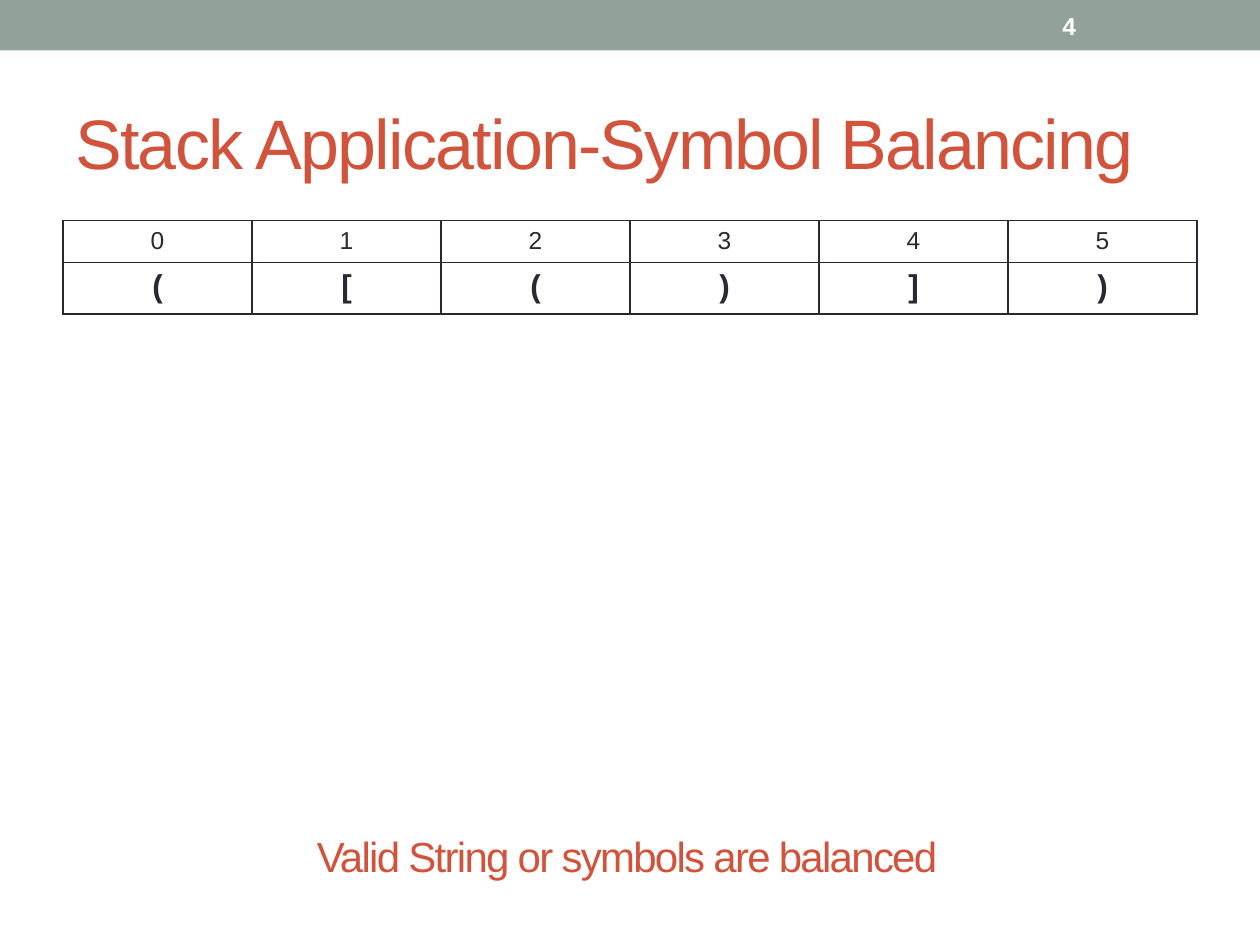
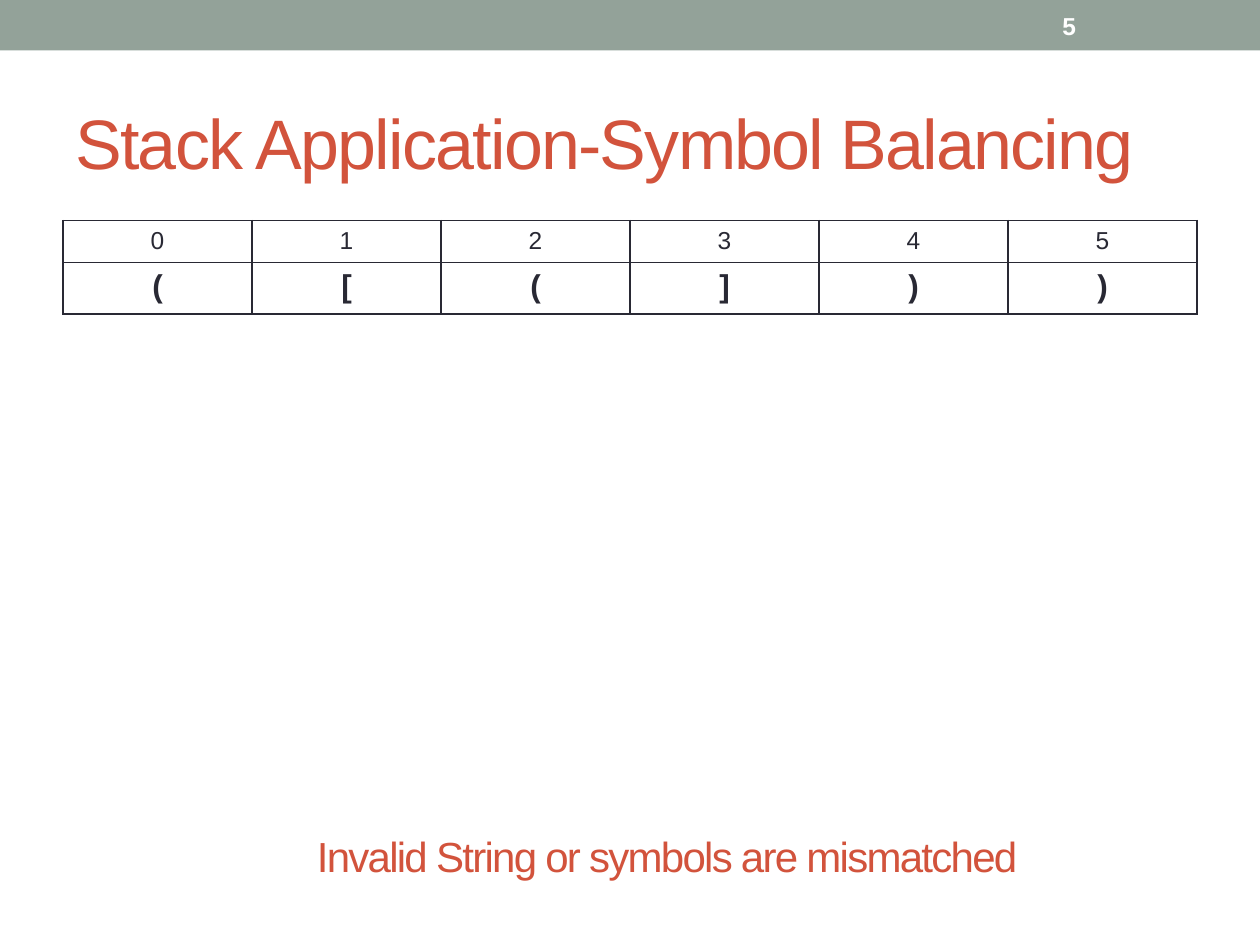
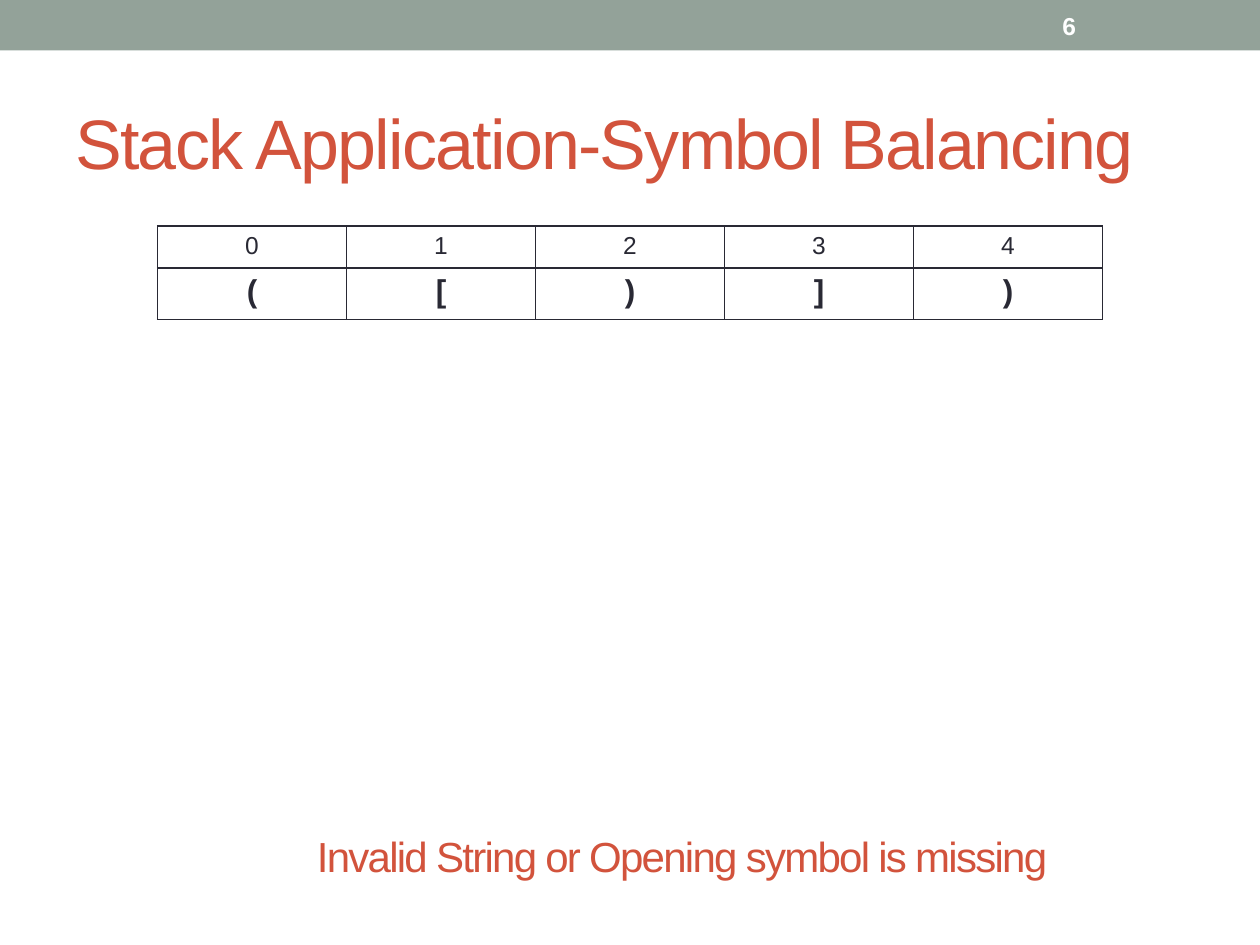
from dataclasses import dataclass

from lxml.etree import SubElement
from pptx import Presentation
from pptx.dml.color import RGBColor
from pptx.enum.shapes import MSO_SHAPE
from pptx.enum.text import MSO_ANCHOR, PP_ALIGN
from pptx.oxml.ns import qn
from pptx.util import Inches, Pt


@dataclass(frozen=True)
class Theme:
    font: str = "Arial"
    band: str = "93A299"
    accent: str = "D2533C"
    ink: str = "292934"
    paper: str = "FFFFFF"
    title_size: int = 40
    verdict_size: int = 24
    symbol_size: int = 18
    small_size: int = 14
    tracking: int = -1
    rule_width: int = 1


COLUMNS, ROWS = 120, 90
MARGIN = 6
CELL_WIDTH = 18
ROW_HEIGHTS = (3.84, 4.92)
HEADING = "Stack Application-Symbol Balancing"
FIRST_NUMBER = 4

# symbols, row where the table starts, verdict, columns the verdict spans
EXAMPLES = (
    ("([()])", 21, "Valid String or symbols are balanced", 62),
    ("([(]))", 21, "Invalid String or symbols are mismatched", 71),
    ("([)])", 21.5, "Invalid String or Opening symbol is missing", 73),
)


class Deck:
    """Holds the theme and the current slide; lengths are grid columns and rows."""

    def __init__(self, theme):
        self.theme = theme
        self.presentation = Presentation()
        self.presentation.slide_width = Inches(10)
        self.presentation.slide_height = Inches(7.5)
        self.slide = None

    def across(self, columns):
        return round(self.presentation.slide_width * columns / COLUMNS)

    def down(self, rows):
        return round(self.presentation.slide_height * rows / ROWS)

    def area(self, left, top, width, height):
        return self.across(left), self.down(top), self.across(width), self.down(height)

    def set_words(self, frame, words, size, color, bold=False, align=PP_ALIGN.LEFT, tracking=0):
        paragraph = frame.paragraphs[0]
        paragraph.alignment = align
        run = paragraph.add_run()
        run.text = words
        looks = {"name": self.theme.font, "size": Pt(size), "bold": bold}
        for attribute, value in looks.items():
            setattr(run.font, attribute, value)
        run.font.color.rgb = RGBColor.from_string(color)
        if tracking:
            run.font._element.set("spc", str(tracking * 100))

    def add_slide(self, number):
        self.slide = self.presentation.slides.add_slide(self.presentation.slide_layouts[6])
        self.add_band()
        self.add_text(str(number), (100, 0.25, 14, 4.32), self.theme.small_size,
                      self.theme.paper, bold=True)

    def add_band(self):
        band = self.slide.shapes.add_shape(MSO_SHAPE.RECTANGLE, *self.area(0, 0, COLUMNS, 4.8))
        band.shadow.inherit = False
        band.fill.solid()
        band.fill.fore_color.rgb = RGBColor.from_string(self.theme.band)
        band.line.fill.background()

    def add_text(self, words, area, size, color, **looks):
        frame = self.slide.shapes.add_textbox(*self.area(*area)).text_frame
        frame.word_wrap = True
        frame.vertical_anchor = MSO_ANCHOR.MIDDLE
        self.set_words(frame, words, size, color, **looks)

    def add_heading(self, words, area, size):
        self.add_text(words, area, size, self.theme.accent, tracking=self.theme.tracking)

    def add_symbol_table(self, symbols, top):
        """Centre a table with each symbol below its index."""
        width = CELL_WIDTH * len(symbols)
        area = self.area((COLUMNS - width) / 2, top, width, sum(ROW_HEIGHTS))
        table = self.slide.shapes.add_table(2, len(symbols), *area).table
        table.first_row = table.horz_banding = False
        for row, height in zip(table.rows, ROW_HEIGHTS):
            row.height = self.down(height)
        for column, symbol in enumerate(symbols):
            table.columns[column].width = self.across(CELL_WIDTH)
            entries = ((str(column), self.theme.small_size, False),
                       (symbol, self.theme.symbol_size, True))
            for row, (words, size, bold) in enumerate(entries):
                cell = table.cell(row, column)
                cell.fill.background()
                self.rule(cell)
                self.set_words(cell.text_frame, words, size, self.theme.ink, bold,
                               PP_ALIGN.CENTER)

    def rule(self, cell):
        """Draw all four borders; the schema wants them ahead of the fill."""
        properties = cell._tc.get_or_add_tcPr()
        for position, side in enumerate(("lnL", "lnR", "lnT", "lnB")):
            border = SubElement(properties, qn(f"a:{side}"), w=str(Pt(self.theme.rule_width)))
            SubElement(SubElement(border, qn("a:solidFill")), qn("a:srgbClr"), val=self.theme.ink)
            properties.insert(position, border)


def main():
    theme = Theme()
    deck = Deck(theme)
    for number, (symbols, top, verdict, span) in enumerate(EXAMPLES, FIRST_NUMBER):
        deck.add_slide(number)
        deck.add_heading(HEADING, (MARGIN, 7, COLUMNS - 2 * MARGIN, 13), theme.title_size)
        deck.add_symbol_table(symbols, top)
        deck.add_heading(verdict, (29, 75, span, 13), theme.verdict_size)
    deck.presentation.save("out.pptx")


if __name__ == "__main__":
    main()
